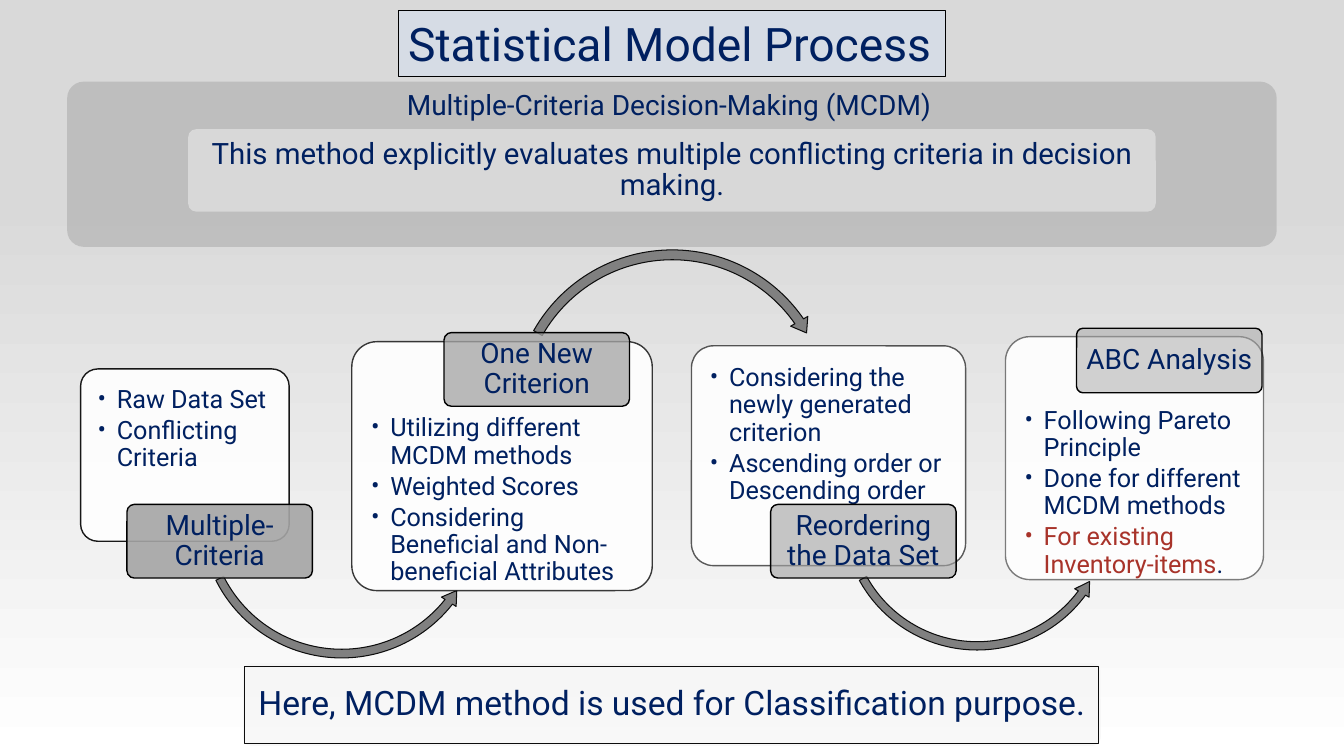
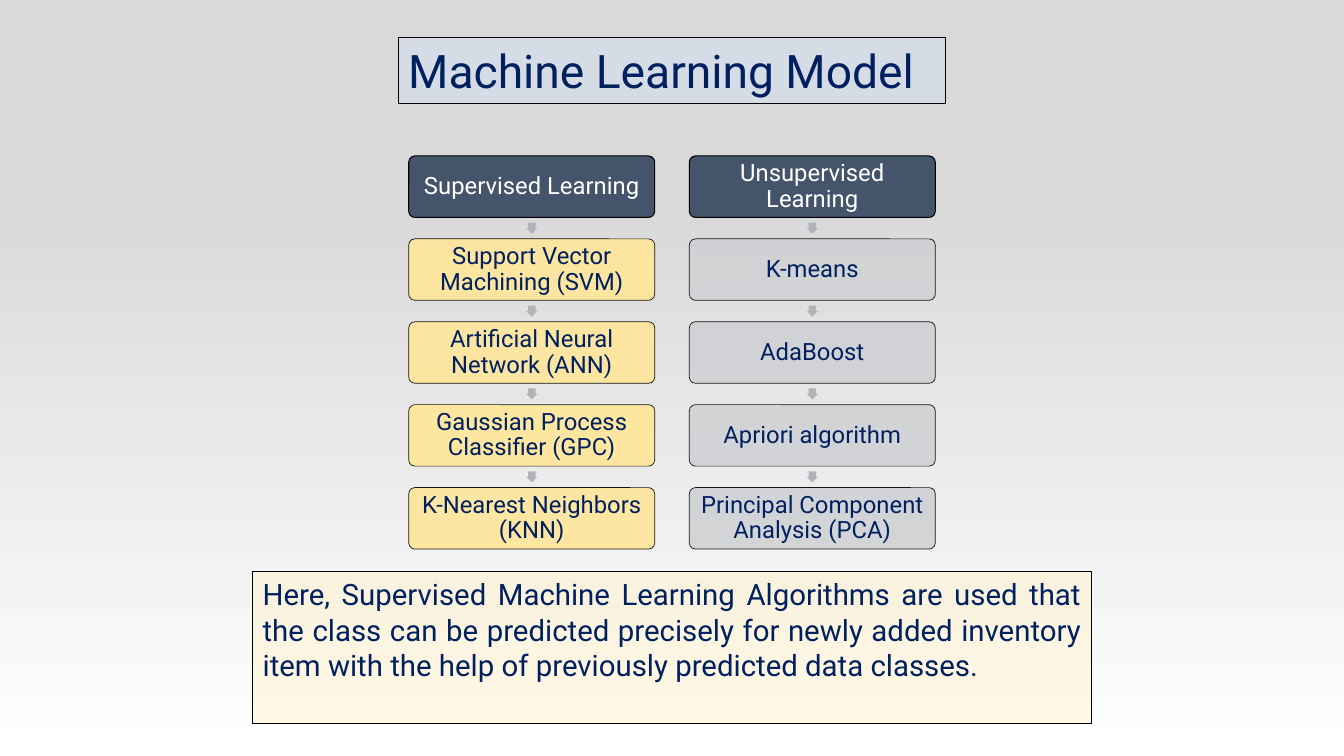
"""Build two slides on the statistical and machine learning models."""
import dataclasses
import typing

import lxml.etree
import pptx
import pptx.dml.color
import pptx.dml.fill
import pptx.enum.shapes
import pptx.enum.text
import pptx.oxml.ns
import pptx.presentation
import pptx.shapes.autoshape
import pptx.slide
import pptx.util

Pt = pptx.util.Pt
SHAPES = pptx.enum.shapes.MSO_SHAPE
ALIGN = pptx.enum.text.PP_ALIGN
ANCHOR = pptx.enum.text.MSO_ANCHOR

FONT = "Roboto"
NAVY = "002060"
BLACK = "000000"
NEAR_BLACK = "0D0D0D"
WHITE = "FFFFFF"
RED = "A8332A"
GREY = "A5A5A5"
LIGHT_GREY = "F2F2F2"
TITLE_FILL = "D6DCE5"

TITLE_LEFT, TITLE_WIDTH, TITLE_HEIGHT = 284.4, 391, 47.5
LABEL_WIDTH = 132.5
CORNER = 0.1
DEFAULT_MARGINS = (7.2, 3.6, 7.2, 3.6)


class Box(typing.NamedTuple):
    """Position and size in points."""

    left: float
    top: float
    width: float
    height: float


class Run(typing.NamedTuple):
    """A piece of text in one colour."""

    text: str
    color: str = NAVY


Paragraphs = list[list[Run]]


@dataclasses.dataclass
class Style:
    """Fill and outline of a shape."""

    fill: str | None = None
    fill_opacity: int = 100
    line: str | None = None
    line_width: float = 0.75
    line_opacity: int = 100


@dataclasses.dataclass
class TextStyle:
    """Layout of the text in a shape."""

    size: float
    align: ALIGN = ALIGN.CENTER
    anchor: ANCHOR = ANCHOR.MIDDLE
    margins: tuple[float, float, float, float] = (3, 2.2, 3, 2.2)
    line_spacing: float = 0.9
    space_after: float = 0
    bullet_indent: float = 0


@dataclasses.dataclass
class Arrow:
    """A curved arrow in a square box."""

    kind: SHAPES
    left: float
    top: float
    size: float
    adjustments: tuple[float, ...]


@dataclasses.dataclass
class Stage:
    """A card with its label and the arrow to the next card."""

    card: Box
    text_top: float
    label: str
    label_left: float
    label_top: float
    label_height: float
    opacity: int
    points: Paragraphs
    arrow: Arrow | None = None
    margin_right: float = 10


@dataclasses.dataclass
class Column:
    """A family of learning algorithms."""

    left: float
    fill: str
    heading: str
    algorithms: tuple[str, ...]


STAGES = [
    Stage(Box(57.6, 263.5, 149, 123.1), 9, "Multiple-Criteria", 90.7, 360.3, 52.6, 90,
          [[Run("Raw Data Set")], [Run("Conflicting Criteria")]],
          Arrow(SHAPES.LEFT_CIRCULAR_ARROW, 140.4, 265.7, 207.4,
                (0.03, 3.48, 23, 92.01, 0.03))),
    Stage(Box(251.3, 244.1, 214.6, 177.8), 47.3, "One New Criterion", 317.2, 237.6, 52.6, 77,
          [[Run("Utilizing different MCDM methods")], [Run("Weighted Scores")],
           [Run("Considering Beneficial and Non-beneficial Attributes")]],
          Arrow(SHAPES.CIRCULAR_ARROW, 362.9, 175, 234.7,
                (0.03, 3.06, 195.17, 125.73, 0.03))),
    Stage(Box(493.9, 247, 195.8, 157), 9, "Reordering the Data Set", 550.5, 360.3, 52.6, 63,
          [[Run("Considering the newly generated criterion")],
           [Run("Ascending order or Descending order")]],
          Arrow(SHAPES.LEFT_CIRCULAR_ARROW, 599, 269.3, 198,
                (0.03, 3.66, 21.88, 90.71, 0.03))),
    Stage(Box(718.2, 240.5, 184.3, 173.5), 45.6, "ABC Analysis", 769, 234.5, 46.1, 50,
          [[Run("Following Pareto Principle")], [Run("Done for different MCDM methods")],
           [Run("For existing Inventory-items", RED), Run(".")]], margin_right=7),
]

COLUMNS = [
    Column(292, "FFE699", "Supervised Learning",
           ("Support Vector Machining (SVM)", "Artificial Neural Network (ANN)",
            "Gaussian Process Classifier (GPC)", "K-Nearest Neighbors (KNN)")),
    Column(492.4, "CFD1D4", "Unsupervised Learning",
           ("K-means", "AdaBoost", "Apriori algorithm",
            "Principal Component Analysis (PCA)")),
]


def rgb(color: str) -> pptx.dml.color.RGBColor:
    """Turn a hex string into a colour."""
    return pptx.dml.color.RGBColor.from_string(color)


def paint(fill: pptx.dml.fill.FillFormat, color: str | None, opacity: int = 100) -> None:
    """Apply a solid colour with an opacity in percent, or no fill."""
    if color is None:
        fill.background()
        return
    fill.solid()
    fill.fore_color.rgb = rgb(color)
    if opacity < 100:
        qn = pptx.oxml.ns.qn
        color_element = fill._xPr.find(qn("a:solidFill"))[0]
        lxml.etree.SubElement(color_element, qn("a:alpha"), val=str(opacity * 1000))


def apply_style(shape: pptx.shapes.autoshape.Shape, style: Style) -> None:
    """Set fill and outline and remove the shadow."""
    shape.shadow.inherit = False
    paint(shape.fill, style.fill, style.fill_opacity)
    paint(shape.line.fill, style.line, style.line_opacity)
    if style.line:
        shape.line.width = Pt(style.line_width)


def write_text(shape: pptx.shapes.autoshape.Shape, paragraphs: Paragraphs,
               style: TextStyle) -> None:
    """Write formatted paragraphs into a shape."""
    qn = pptx.oxml.ns.qn
    frame = shape.text_frame
    frame.word_wrap = True
    frame.auto_size = pptx.enum.text.MSO_AUTO_SIZE.NONE
    frame.vertical_anchor = style.anchor
    (frame.margin_left, frame.margin_top,
     frame.margin_right, frame.margin_bottom) = map(Pt, style.margins)
    for index, runs in enumerate(paragraphs):
        paragraph = frame.add_paragraph() if index else frame.paragraphs[0]
        paragraph.alignment = style.align
        paragraph.line_spacing = style.line_spacing
        paragraph.space_after = Pt(style.space_after)
        if style.bullet_indent:
            properties = paragraph._p.get_or_add_pPr()
            properties.set("marL", str(Pt(style.bullet_indent)))
            properties.set("indent", str(-Pt(style.bullet_indent)))
            lxml.etree.SubElement(properties, qn("a:buFont"), typeface=FONT)
            lxml.etree.SubElement(properties, qn("a:buChar"), char="•")
        for piece in runs:
            run = paragraph.add_run()
            run.text = piece.text
            run.font.name = FONT
            run.font.size = Pt(style.size)
            run.font.color.rgb = rgb(piece.color)


def add_box(slide: pptx.slide.Slide, kind: SHAPES, box: Box,
            style: Style) -> pptx.shapes.autoshape.Shape:
    """Add a styled preset shape."""
    shape = slide.shapes.add_shape(kind, *map(Pt, box))
    if kind == SHAPES.ROUNDED_RECTANGLE:
        shape.adjustments[0] = CORNER
    apply_style(shape, style)
    return shape


def add_titled_slide(presentation: pptx.presentation.Presentation, title: str,
                     top: float) -> pptx.slide.Slide:
    """Add a slide with the shared title style."""
    slide = presentation.slides.add_slide(presentation.slide_layouts[5])
    shape = slide.shapes.title
    shape.left, shape.top = Pt(TITLE_LEFT), Pt(top)
    shape.width, shape.height = Pt(TITLE_WIDTH), Pt(TITLE_HEIGHT)
    apply_style(shape, Style(TITLE_FILL, line=BLACK))
    write_text(shape, [[Run(title)]],
               TextStyle(33, ALIGN.LEFT, ANCHOR.TOP, DEFAULT_MARGINS, 1))
    return slide


def add_stage(slide: pptx.slide.Slide, stage: Stage) -> None:
    """Draw a card, its outgoing arrow and its label."""
    rounded = SHAPES.ROUNDED_RECTANGLE
    card = add_box(slide, rounded, stage.card, Style(WHITE, 90, BLACK, 1, stage.opacity))
    write_text(card, stage.points,
               TextStyle(18, ALIGN.LEFT, ANCHOR.TOP,
                         (8.6, stage.text_top, stage.margin_right, 0),
                         space_after=2.7, bullet_indent=13.7))
    if stage.arrow:
        arrow = stage.arrow
        shape = add_box(slide, arrow.kind, Box(arrow.left, arrow.top, arrow.size, arrow.size),
                        Style("808080", line=NEAR_BLACK))
        for index, value in enumerate(arrow.adjustments):
            shape.adjustments[index] = value
    label = add_box(slide, rounded,
                    Box(stage.label_left, stage.label_top, LABEL_WIDTH, stage.label_height),
                    Style(GREY, stage.opacity, BLACK, 1))
    write_text(label, [[Run(stage.label)]], TextStyle(20))


def add_column(slide: pptx.slide.Slide, column: Column) -> None:
    """Draw a heading and its algorithms, joined by small arrows."""
    top, width, height, step, arrow_size = 111.4, 175.7, 43.9, 59.22, 7.9
    for index, text in enumerate((column.heading, *column.algorithms)):
        box_top = top + index * step
        style = Style(column.fill, 90, BLACK, 0.5, 90) if index else Style("44546A", line=BLACK)
        if index:
            arrow = add_box(slide, SHAPES.RIGHT_ARROW,
                            Box(column.left + (width - arrow_size) / 2,
                                box_top - (step - height + arrow_size) / 2,
                                arrow_size, arrow_size), Style("B0B4B9"))
            arrow.rotation = 90
            arrow.adjustments[0] = 0.67
        box = add_box(slide, SHAPES.ROUNDED_RECTANGLE,
                      Box(column.left, box_top, width, height), style)
        write_text(box, [[Run(text, NAVY if index else WHITE)]],
                   TextStyle(17, margins=(1.3, 1.3, 1.3, 1.3)))


def build_process_slide(presentation: pptx.presentation.Presentation) -> None:
    """Build the slide on the statistical model."""
    slide = add_titled_slide(presentation, "Statistical Model Process", 7.2)
    rounded = SHAPES.ROUNDED_RECTANGLE
    band = add_box(slide, rounded, Box(48, 58.3, 864, 118), Style(GREY, 50))
    write_text(band, [[Run("Multiple-Criteria Decision-Making (MCDM)")]],
               TextStyle(20, anchor=ANCHOR.TOP, margins=(6, 3.7, 10, 0)))
    method = add_box(slide, rounded, Box(134.4, 92.2, 691.2, 59), Style(LIGHT_GREY, 50))
    write_text(method, [[Run("This method explicitly evaluates multiple conflicting "
                             "criteria in decision making.")]], TextStyle(21))
    add_box(slide, rounded, Box(173.5, 473.8, 612.8, 59), Style(LIGHT_GREY, 50))
    purpose = add_box(slide, SHAPES.RECTANGLE, Box(175, 475.9, 609.8, 55.4),
                      Style(line=NEAR_BLACK))
    write_text(purpose, [[Run("Here, MCDM method is used for Classification purpose.")]],
               TextStyle(24))
    for stage in STAGES:
        add_stage(slide, stage)


def build_learning_slide(presentation: pptx.presentation.Presentation) -> None:
    """Build the slide on the machine learning model."""
    slide = add_titled_slide(presentation, "Machine Learning Model", 26.6)
    for column in COLUMNS:
        add_column(slide, column)
    note = add_box(slide, SHAPES.RECTANGLE, Box(180.5, 408.2, 599, 108.8),
                   Style("FFF2CC", 50, BLACK))
    write_text(note, [[Run("Here, Supervised Machine Learning Algorithms are used that the "
                           "class can be predicted precisely for newly added inventory item "
                           "with the help of previously predicted data classes.")]],
               TextStyle(21, ALIGN.JUSTIFY, ANCHOR.TOP, DEFAULT_MARGINS, 1))


def main() -> None:
    """Build and save the presentation."""
    presentation = pptx.Presentation()
    presentation.slide_width, presentation.slide_height = Pt(960), Pt(540)
    background = presentation.slide_master.background.fill
    background.gradient()
    background.gradient_angle = 90
    for stop, (position, color) in zip(background.gradient_stops, ((0, WHITE), (0.74, "D9D9D9"))):
        stop.position = position
        stop.color.rgb = rgb(color)
    build_process_slide(presentation)
    build_learning_slide(presentation)
    presentation.save("out.pptx")


if __name__ == "__main__":
    main()
